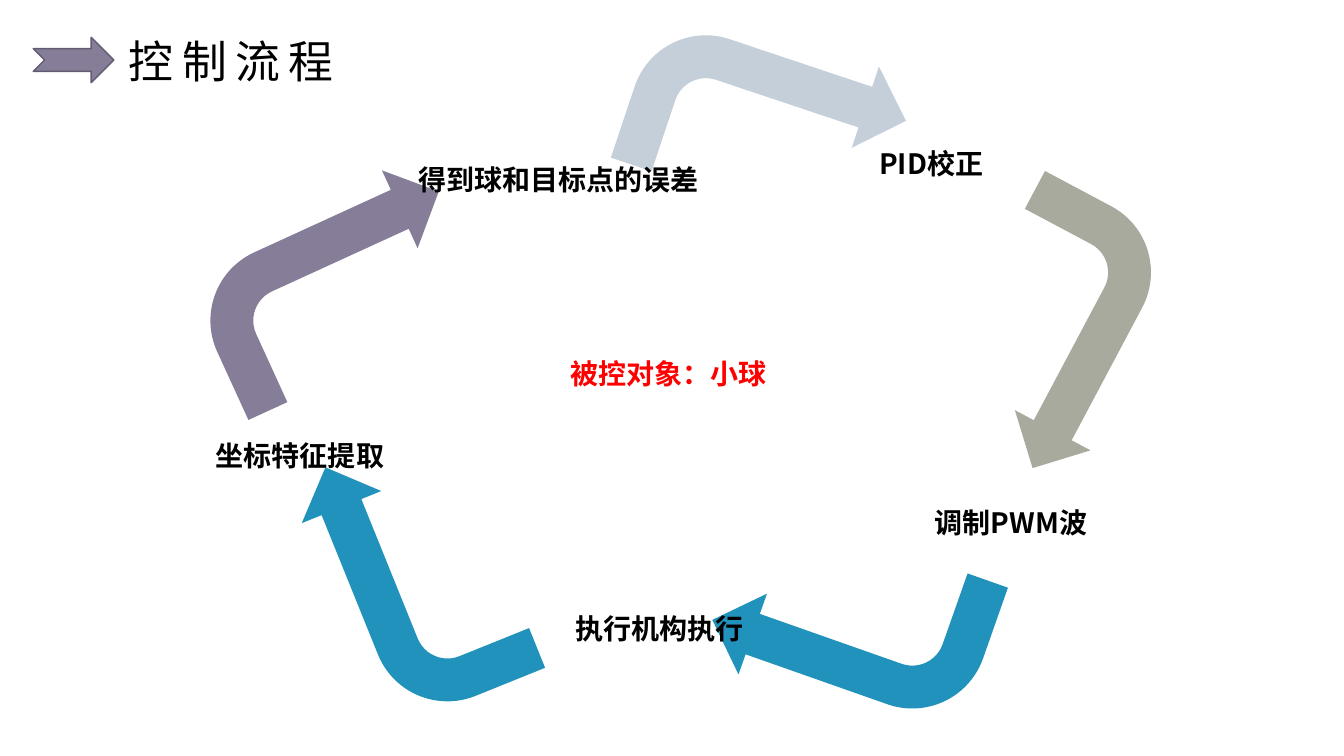
"""Build the slide that shows the ball control loop as a ring of arrows."""
from lxml import etree
from pptx import Presentation
from pptx.dml.color import RGBColor
from pptx.enum import shapes, text
from pptx.oxml import ns
from pptx.util import Inches, Pt

FONT = "Noto Sans CJK SC"
BLACK = RGBColor(0x00, 0x00, 0x00)
RED = RGBColor(0xFF, 0x00, 0x00)
BLUE = RGBColor(0x21, 0x92, 0xBC)
PLUM = RGBColor(0x86, 0x7D, 0x98)
EDGE = RGBColor(0x63, 0x5C, 0x70)
OLIVE = RGBColor(0xA7, 0xAA, 0x9D)
MIST = RGBColor(0xC4, 0xCF, 0xD9)
KIND = shapes.MSO_SHAPE


def add_arrow(kind, left, top, width, height, color, turn=0):
    arrow = slide.shapes.add_shape(kind, Inches(left), Inches(top),
                                   Inches(width), Inches(height))
    arrow.shadow.inherit = False
    arrow.fill.solid()
    arrow.fill.fore_color.rgb = color
    arrow.line.fill.background()
    arrow.rotation = turn
    return arrow


def add_text(words, left, top, width, height, size, color, bold):
    box = slide.shapes.add_textbox(Inches(left), Inches(top),
                                   Inches(width), Inches(height))
    frame = box.text_frame
    frame.word_wrap = True
    run = frame.paragraphs[0].add_run()
    run.text = words
    run.font.name = FONT
    run.font.size = Pt(size)
    run.font.bold = bold
    run.font.color.rgb = color
    east = etree.SubElement(run.font._element, ns.qn("a:ea"))
    east.set("typeface", FONT)
    return frame


deck = Presentation()
deck.slide_width = Inches(13.33)
deck.slide_height = Inches(7.5)
slide = deck.slides.add_slide(deck.slide_layouts[6])

mark = add_arrow(KIND.NOTCHED_RIGHT_ARROW, 0.33, 0.37, 0.8, 0.45, PLUM)
mark.line.color.rgb = EDGE
mark.line.width = Pt(1)

title = add_text("控制流程", 1.18, 0.29, 3.97, 0.64, 32, BLACK, False)
title.auto_size = text.MSO_AUTO_SIZE.SHAPE_TO_FIT_TEXT
title.paragraphs[0].runs[0].font._element.set("spc", "600")

bends = [
    (7.13, 5.34, BLUE, 199.4),
    (1.99, 1.99, PLUM, 335.4),
    (9.16, 2.42, OLIVE, 118),
    (6.26, 0.33, MIST, 18.5),
    (2.79, 4.86, BLUE, 248),
]
for left, top, color, turn in bends:
    add_arrow(KIND.BENT_ARROW, left, top, 2.66, 1.7, color, turn)

steps = [
    ("得到球和目标点的误差", 4.15, 1.55),
    ("PID校正", 8.72, 1.39),
    ("调制PWM波", 9.27, 4.95),
    ("执行机构执行", 5.71, 6),
    ("坐标特征提取", 2.14, 4.28),
]
for words, left, top in steps:
    frame = add_text(words, left, top, 2.89, 0.3, 20, BLACK, True)
    frame.word_wrap = False
    frame.margin_left = frame.margin_right = 0
    frame.margin_top = frame.margin_bottom = 0
    frame.paragraphs[0].line_spacing = 1.2

goal = add_text("被控对象：小球", 5.56, 3.49, 2.18, 0.44, 20, RED, True)
goal.auto_size = text.MSO_AUTO_SIZE.SHAPE_TO_FIT_TEXT

deck.save("out.pptx")
